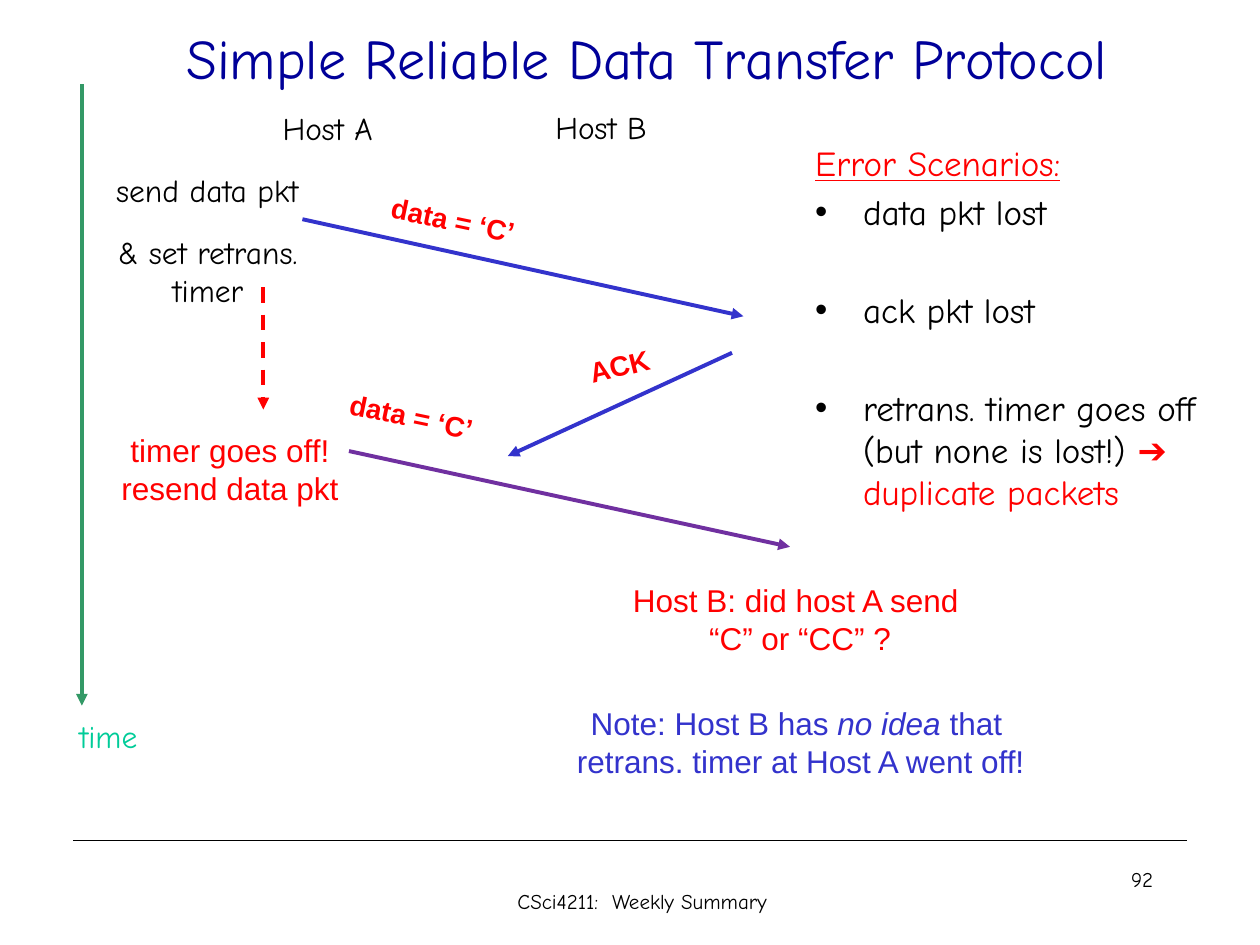
import pptx
import pptx.dml.color
import pptx.enum.dml
import pptx.enum.shapes
import pptx.enum.text
import pptx.oxml.ns
import pptx.util
from lxml import etree

Inches = pptx.util.Inches
Pt = pptx.util.Pt
RGBColor = pptx.dml.color.RGBColor
Align = pptx.enum.text.PP_ALIGN
Anchor = pptx.enum.text.MSO_ANCHOR
qn = pptx.oxml.ns.qn

BLACK = RGBColor(0x00, 0x00, 0x00)
RED = RGBColor(0xFF, 0x00, 0x00)
NAVY = RGBColor(0x00, 0x00, 0x99)
BLUE = RGBColor(0x33, 0x33, 0xCC)
GREEN = RGBColor(0x33, 0x99, 0x66)
TEAL = RGBColor(0x00, 0xCC, 0x99)
PURPLE = RGBColor(0x70, 0x30, 0xA0)

HAND = "Comic Neue"
SANS = "Arial"


class ProtocolSlide:
    def __init__(self, presentation):
        self.slide = presentation.slides.add_slide(presentation.slide_layouts[1])
        self.line_width = Pt(2.25)

    def place(self, shape, left, top, width, height):
        shape.left, shape.top = Inches(left), Inches(top)
        shape.width, shape.height = Inches(width), Inches(height)

    def run(self, paragraph, text, size, color, font=HAND, **styles):
        """Append one run; styles are font attributes such as bold or italic."""
        run = paragraph.add_run()
        run.text = text
        run.font.name = font
        run.font.size = Pt(size)
        run.font.color.rgb = color
        for name, value in styles.items():
            setattr(run.font, name, value)

    def title(self, text, box):
        shape = self.slide.shapes.title
        self.place(shape, *box)
        frame = shape.text_frame
        frame.auto_size = pptx.enum.text.MSO_AUTO_SIZE.NONE
        frame.vertical_anchor = Anchor.MIDDLE
        paragraph = frame.paragraphs[0]
        paragraph.alignment = Align.CENTER
        self.run(paragraph, text, 32, NAVY)

    def bullet_list(self, heading, items, box):
        """Fill the body: a heading, then (space before, [(text, color)]) items."""
        shape = self.slide.placeholders[1]
        self.place(shape, *box)
        frame = shape.text_frame
        frame.auto_size = pptx.enum.text.MSO_AUTO_SIZE.NONE
        paragraph = frame.paragraphs[0]
        self.indent(paragraph, bullet=None)
        paragraph.space_before = Pt(0)
        self.run(paragraph, heading, 20, RED, underline=True)
        for space, parts in items:
            paragraph = frame.add_paragraph()
            self.indent(paragraph, bullet="•")
            paragraph.space_before = Pt(space)
            for text, color in parts:
                self.run(paragraph, text, 20, color)

    def indent(self, paragraph, bullet):
        properties = paragraph._p.get_or_add_pPr()
        properties.set("marL", str(Inches(0.38)))
        properties.set("indent", str(-Inches(0.38)))
        if bullet:
            etree.SubElement(properties, qn("a:buChar")).set("char", bullet)
        else:
            etree.SubElement(properties, qn("a:buNone"))

    def label(self, lines, box, color, font=HAND, size=18, align=Align.CENTER,
              rotation=0, wrap=False, bold=False):
        """Add a text box; a line is a string or a list of (text, italic)."""
        shape = self.slide.shapes.add_textbox(*map(Inches, box))
        shape.rotation = rotation
        frame = shape.text_frame
        frame.word_wrap = wrap
        for index, line in enumerate(lines):
            paragraph = frame.add_paragraph() if index else frame.paragraphs[0]
            paragraph.alignment = align
            parts = [(line, False)] if isinstance(line, str) else line
            for text, italic in parts:
                self.run(paragraph, text, size, color, font, bold=bold, italic=italic)

    def line(self, start, end, color, width=None):
        connector = self.slide.shapes.add_connector(
            pptx.enum.shapes.MSO_CONNECTOR.STRAIGHT, *map(Inches, start + end))
        connector.line.color.rgb = color
        connector.line.width = width or self.line_width
        etree.SubElement(connector._element.spPr, qn("a:effectLst"))
        return connector

    def arrow(self, start, end, color, dashed=False):
        connector = self.line(start, end, color)
        if dashed:
            connector.line.dash_style = pptx.enum.dml.MSO_LINE.DASH
        tail = etree.SubElement(connector.line._get_or_add_ln(), qn("a:tailEnd"))
        tail.set("type", "triangle")


def main():
    presentation = pptx.Presentation()
    presentation.slide_width = Inches(10)
    presentation.slide_height = Inches(7.5)
    page = ProtocolSlide(presentation)

    page.line((0.58, 6.67), (9.42, 6.67), BLACK, Pt(0.75))
    page.label(["92"], (7.17, 6.83, 2.08, 0.5), BLACK, size=12,
               align=Align.RIGHT, wrap=True)
    page.label(["CSci4211:  Weekly Summary "], (3.5, 7, 3.25, 0.5), BLACK,
               size=12, wrap=True)

    page.title("Simple Reliable Data Transfer Protocol ", (0.67, -0.17, 9.08, 1.25))
    page.bullet_list("Error Scenarios:", [
        (4, [("data pkt lost", BLACK)]),
        (32, [("ack pkt lost", BLACK)]),
        (32, [("retrans. timer goes off (but none is lost!) ", BLACK),
              ("➔ duplicate packets", RED)]),
    ], (6.37, 1.07, 3.38, 4.83))

    # Time axis and hosts
    page.arrow((0.65, 0.67), (0.65, 5.6), GREEN)
    page.label(["time"], (0.5, 5.64, 0.72, 0.4), TEAL)
    page.label(["Host A"], (2.09, 0.82, 1.02, 0.4), BLACK)
    page.label(["Host B"], (4.27, 0.81, 1, 0.4), BLACK)

    # Messages between the hosts
    page.arrow((2.4, 1.74), (5.9, 2.51), BLUE)
    page.arrow((5.81, 2.8), (4.03, 3.62), BLUE)
    page.arrow((2.77, 3.58), (6.27, 4.34), PURPLE)
    for text, box, rotation in [
        ("data = ‘C’", (2.94, 1.56, 1.31, 0.37), 11.8),
        ("ACK", (4.57, 2.72, 0.69, 0.37), 345.9),
        ("data = ‘C’", (2.61, 3.12, 1.31, 0.37), 11.8),
    ]:
        page.label([text], box, RED, SANS, 16, rotation=rotation, bold=True)

    # Sender timer
    page.label(["send data pkt"], (0.74, 1.31, 1.81, 0.4), BLACK)
    page.label(["& set retrans.", "timer"], (0.73, 1.8, 1.84, 0.71), BLACK)
    page.arrow((2.09, 2.28), (2.09, 3.25), RED, dashed=True)
    page.label(["timer goes off!", "resend data pkt"], (0.7, 3.37, 2.25, 0.71),
               RED, SANS, wrap=True)

    # Receiver's view
    page.label(["Host B: did host A send ", "“C” or “CC” ?"],
               (4.91, 4.56, 2.88, 0.71), RED, SANS)
    page.label([[("Note: Host B has ", False), ("no idea ", True), ("that ", False)],
                "retrans. timer at Host A went off!"],
               (4.46, 5.54, 3.79, 0.71), BLUE, SANS)

    presentation.save("out.pptx")


if __name__ == "__main__":
    main()
